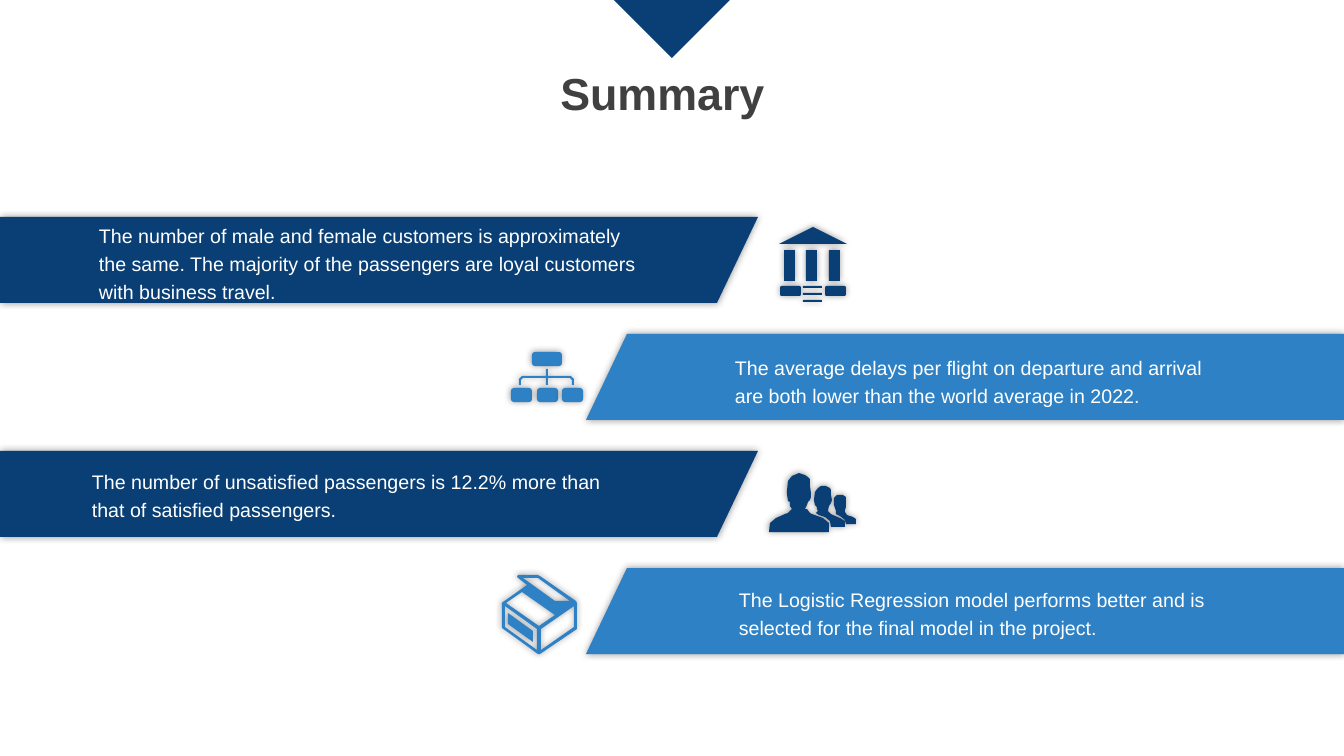
from lxml import etree
from pptx import Presentation
from pptx.dml.color import RGBColor
from pptx.enum.shapes import MSO_SHAPE as Kind
from pptx.enum.text import MSO_ANCHOR as Anchor, MSO_AUTO_SIZE as Fit, PP_ALIGN as Align
from pptx.oxml import parse_xml
from pptx.oxml.ns import nsdecls
from pptx.util import Pt

WIDE, HIGH = 1344, 756
SCALE = 12192000 / WIDE
COLORS = {"navy": "0A3F75", "blue": "2E81C4", "white": "FFFFFF", "title": "404040"}

BAR_TOP, BAR_STEP, BAR_HIGH = 217, 117, 86
BAR_LONG, BAR_SHORT = 758, 717

# text, then left, top, width and height of its box
POINTS = [
    ("The number of male and female customers is approximately the same. "
     "The majority of the passengers are loyal customers with business travel.",
     (89, 214, 570, 93)),
    ("The average delays per flight on departure and arrival are both lower "
     "than the world average in 2022.", (725, 346, 493, 65)),
    ("The number of unsatisfied passengers is 12.2% more than that of "
     "satisfied passengers.", (82, 460, 557, 65)),
    ("The Logistic Regression model performs better and is selected for the "
     "final model in the project.", (729, 578, 489, 65)),
]

TREE = [(519, 385), (519, 379), (522, 376), (546, 376), (546, 369), (548, 369),
        (548, 376), (571, 376), (574, 379), (574, 385), (572, 385), (572, 380),
        (570, 378), (548, 378), (548, 385), (546, 385), (546, 378), (523, 378),
        (521, 380), (521, 385)]

PEOPLE = [
    [(823, 518), (812, 514), (810, 513), (807, 509), (805, 509), (807, 505),
     (808, 502), (810, 500), (811, 497), (811, 493), (810, 486), (810, 479),
     (808, 477), (805, 475), (799, 473), (792, 476), (788, 481), (787, 491),
     (787, 494), (788, 501), (790, 502), (790, 506), (792, 509), (788, 513),
     (785, 514), (776, 518), (770, 523), (769, 532), (829, 532), (829, 523)],
    [(840, 518), (833, 515), (831, 514), (828, 511), (829, 506), (831, 503),
     (832, 500), (831, 495), (831, 490), (830, 488), (826, 486), (821, 486),
     (818, 488), (815, 492), (814, 500), (815, 505), (817, 507), (817, 509),
     (818, 511), (816, 513), (819, 515), (825, 517), (830, 521), (831, 527),
     (845, 527), (845, 521)],
    [(856, 519), (853, 517), (847, 515), (845, 512), (845, 510), (846, 507),
     (846, 504), (846, 497), (843, 495), (837, 495), (834, 498), (834, 505),
     (835, 508), (836, 511), (836, 514), (840, 516), (845, 520), (846, 524),
     (856, 524)],
]

BOX = [
    [(577, 603), (576, 601), (540, 576), (538, 575), (518, 575), (517, 577),
     (527, 585), (503, 602), (502, 603), (502, 628), (538, 654), (540, 654),
     (577, 629)],
    [(523, 578), (538, 578), (570, 601), (555, 601)],
    [(537, 650), (505, 627), (505, 606), (537, 629)],
    [(539, 626), (506, 603), (522, 592), (555, 615)],
    [(574, 627), (541, 650), (541, 629), (574, 606)],
    [(533, 631), (508, 613), (508, 624), (533, 642)],
]


def px(*nums):
    return [round(n * SCALE) for n in nums]


def rgb(name):
    return RGBColor.from_string(COLORS[name])


def paint(shape, color, glow=True):
    """Fill without a line; glow adds the soft shadow around the edge."""
    shape.fill.solid()
    shape.fill.fore_color.rgb = rgb(color)
    shape.line.fill.background()
    shape.shadow.inherit = False
    if glow:
        soft = parse_xml(
            f'<a:outerShdw {nsdecls("a")} blurRad="63500" algn="ctr" rotWithShape="0">'
            '<a:srgbClr val="000000"><a:alpha val="40000"/></a:srgbClr></a:outerShdw>')
        shape.element.spPr.find("{*}effectLst").append(soft)


def block(slide, kind, area, color, glow=True):
    shape = slide.shapes.add_shape(kind, *px(*area))
    paint(shape, color, glow)
    return shape


def outline(slide, loops, color):
    """One freeform of closed loops; inner loops are holes."""
    pen = slide.shapes.build_freeform(*loops[0][0], scale=SCALE)
    for i, loop in enumerate(loops):
        if i:
            pen.move_to(*loop[0])
        pen.add_line_segments(loop[1:], close=True)
    paint(pen.convert_to_shape(), color)


def style(par, size, color, bold=False):
    font = par.font
    font.name, font.size, font.bold = "Arial", Pt(size), bold
    font.color.rgb = rgb(color)


def heading(slide, text):
    title = slide.shapes.title
    title.left, title.top, title.width, title.height = px(323, 67, 679, 59)
    frame = title.text_frame
    frame.text = text
    frame.vertical_anchor = Anchor.MIDDLE
    par = frame.paragraphs[0]
    par.alignment, par.line_spacing = Align.CENTER, 0.9
    style(par, 32, "title", True)


def label(slide, text, area):
    frame = slide.shapes.add_textbox(*px(*area)).text_frame
    frame.word_wrap = True
    frame.auto_size = Fit.SHAPE_TO_FIT_TEXT
    frame.text = text
    par = frame.paragraphs[0]
    par.line_spacing = 1.2
    style(par, 14, "white")


def bar(slide, row):
    """Even rows start at the left edge, odd rows at the right one."""
    top = BAR_TOP + row * BAR_STEP
    low = top + BAR_HIGH
    if row % 2:
        ends = [(WIDE, low), (WIDE - BAR_LONG, low), (WIDE - BAR_SHORT, top), (WIDE, top)]
    else:
        ends = [(0, top), (BAR_LONG, top), (BAR_SHORT, low), (0, low)]
    outline(slide, [ends], "blue" if row % 2 else "navy")


def bank(slide):
    outline(slide, [[(779, 244), (847, 244), (813, 227)]], "navy")
    for left in (784, 806, 829):
        block(slide, Kind.RECTANGLE, (left, 250, 11, 31), "navy")
    for left in (780, 825):
        block(slide, Kind.ROUNDED_RECTANGLE, (left, 286, 21, 10), "navy")
    for top in (286, 293, 300):
        block(slide, Kind.ROUNDED_RECTANGLE, (803, top, 19, 2), "navy")


def chart(slide):
    """The icon of linked boxes."""
    for area in [(532, 352, 30, 14)] + [(x, 388, 21, 14) for x in (511, 537, 562)]:
        block(slide, Kind.ROUNDED_RECTANGLE, area, "blue").adjustments[0] = 0.22
    outline(slide, [TREE], "blue")


def main():
    deck = Presentation()
    deck.slide_width, deck.slide_height = px(WIDE, HIGH)
    slide = deck.slides.add_slide(deck.slide_layouts[5])
    block(slide, Kind.RIGHT_TRIANGLE, (631, -41, 82, 82), "navy", False).rotation = 315
    heading(slide, "Summary")
    for row in range(len(POINTS)):
        bar(slide, row)
    bank(slide)
    chart(slide)
    outline(slide, PEOPLE, "navy")
    outline(slide, BOX, "blue")
    for text, area in POINTS:
        label(slide, text, area)
    deck.save("out.pptx")


if __name__ == "__main__":
    main()
